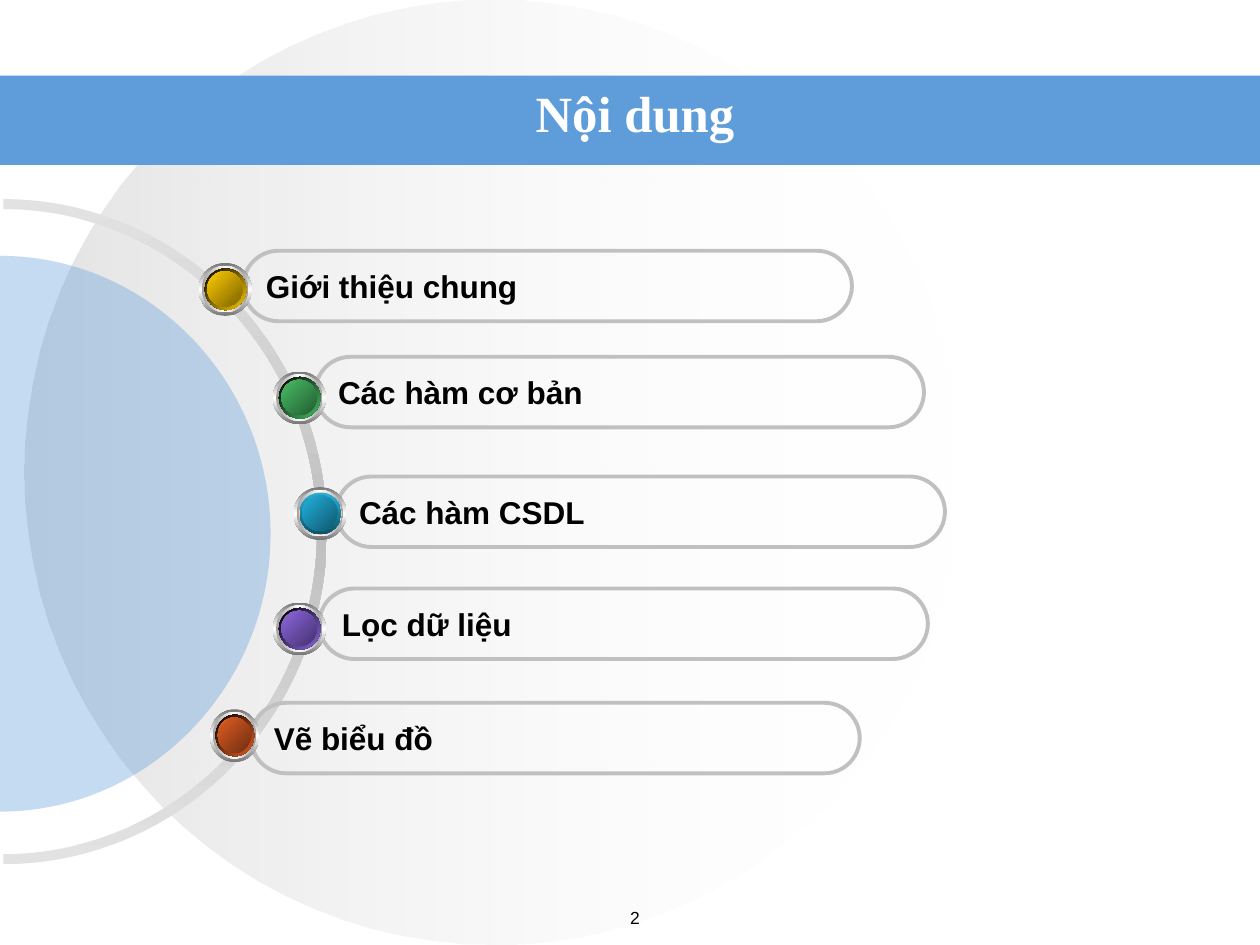
from lxml import etree
from pptx import Presentation
from pptx.dml.color import RGBColor
from pptx.enum.shapes import MSO_SHAPE
from pptx.enum.text import MSO_ANCHOR, PP_ALIGN
from pptx.oxml.ns import qn
from pptx.util import Pt

OVAL, RECTANGLE, PILL = MSO_SHAPE.OVAL, MSO_SHAPE.RECTANGLE, MSO_SHAPE.ROUNDED_RECTANGLE
LEFT, CENTER = PP_ALIGN.LEFT, PP_ALIGN.CENTER
TOP, MIDDLE = MSO_ANCHOR.TOP, MSO_ANCHOR.MIDDLE

COLORS = {
    "white": "FFFFFF", "black": "000000", "blue": "5E9CDA",
    "silver": "C0C0C0", "pale": "E2E2E2", "steel": "767676", "grey": "A2A2A2",
    "orange": "FF9933", "brown": "8A531C",
    "gold": "FFCC00", "dark gold": "7C6300",
    "green": "48BE67", "dark green": "235C32",
    "cyan": "21B3E1", "dark cyan": "10576D", "deep cyan": "0F5368",
    "violet": "8D67E1", "dark violet": "45326D",
    "red": "E35E23", "dark red": "6E2E11",
}

# Label, pill left and top, button left, top and width, button colour
TOPICS = [
    ("Giới thiệu chung", 139, 143.3, 113.6, 150.3, 30.2, "gold"),
    ("Các hàm cơ bản", 180.2, 203.9, 156, 212.3, 30.2, "green"),
    ("Các hàm CSDL", 192.2, 272.3, 167.8, 278.4, 30.2, "cyan"),
    ("Lọc dữ liệu", 182.4, 336.3, 156, 344.3, 30.2, "violet"),
    ("Vẽ biểu đồ", 143.5, 401.6, 120, 405.3, 28.1, "red"),
]
PILL_WIDTH, PILL_HEIGHT = 347.8, 40.3
BUTTON_SIZE = 30.2
CURVE = 0.55  # control point distance for a quarter ellipse


def rgb(name):
    return RGBColor.from_string(COLORS[name])


def set_solid(shape, color, alpha=100):
    shape.fill.solid()
    shape.fill.fore_color.rgb = rgb(color)
    if alpha < 100:
        tint = next(shape._element.spPr.iter(qn("a:srgbClr")))
        etree.SubElement(tint, qn("a:alpha"), val=str(alpha * 1000))


def set_gradient(shape, colors, angle, alphas=None):
    """Spread the colours evenly along a linear gradient."""
    shape.fill.background()
    properties = shape._element.spPr
    gradient = etree.Element(qn("a:gradFill"), rotWithShape="1")
    stops = etree.SubElement(gradient, qn("a:gsLst"))
    for index, color in enumerate(colors):
        position = 100000 * index // (len(colors) - 1)
        stop = etree.SubElement(stops, qn("a:gs"), pos=str(position))
        tint = etree.SubElement(stop, qn("a:srgbClr"), val=COLORS[color])
        if alphas:
            etree.SubElement(tint, qn("a:alpha"), val=str(alphas[index] * 1000))
    etree.SubElement(gradient, qn("a:lin"), ang=str(angle * 60000), scaled="0")
    properties.replace(properties.find(qn("a:noFill")), gradient)


def add_plain_shape(shapes, kind, left, top, width, height):
    shape = shapes.add_shape(kind, Pt(left), Pt(top), Pt(width), Pt(height))
    shape.shadow.inherit = False
    shape.line.fill.background()
    return shape


def half_ellipse(center_x, center_y, radius_x, radius_y):
    """Start point and two cubic curves of the right half, from top to bottom."""
    units = [(0, -1), (CURVE, -1), (1, -CURVE), (1, 0), (1, CURVE), (CURVE, 1), (0, 1)]
    return [(Pt(center_x + radius_x * x), Pt(center_y + radius_y * y)) for x, y in units]


def add_curved_outline(slide, *arcs):
    """Join arcs by straight lines, in a frame as wide as the full ellipse."""
    points = [point for arc in arcs for point in arc]
    builder = slide.shapes.build_freeform(*points[0])
    builder.add_line_segments(points[1:], close=True)
    shape = builder.convert_to_shape()
    shape.shadow.inherit = False
    shape.line.fill.background()

    # Double the frame to the left
    width = shape.width
    shape.left, shape.width = shape.left - width, 2 * width
    outline = next(shape._element.iter(qn("a:path")))
    outline.set("w", str(2 * width))
    for point in outline.iter(qn("a:pt")):
        point.set("x", str(int(point.get("x")) + width))

    # Turn each arc's six line steps into two cubic curves
    steps = list(outline)[:len(points)]
    for start in range(0, len(points), 7):
        for first in (start + 1, start + 4):
            curve = etree.Element(qn("a:cubicBezTo"))
            steps[first].addprevious(curve)
            for step in steps[first:first + 3]:
                curve.append(step[0])
                outline.remove(step)
    return shape


def write_text(shape, text, size, color, font="Arial", bold=False, align=LEFT, anchor=MIDDLE):
    frame = shape.text_frame
    frame.word_wrap = True
    frame.vertical_anchor = anchor
    paragraph = frame.paragraphs[0]
    paragraph.text = text
    paragraph.alignment = align
    paragraph.font.name = font
    paragraph.font.size = Pt(size)
    paragraph.font.bold = bold
    paragraph.font.color.rgb = rgb(color)


def add_text(slide, left, top, width, height, *content, **style):
    box = slide.shapes.add_textbox(Pt(left), Pt(top), Pt(width), Pt(height))
    write_text(box, *content, **style)


def add_pill(slide, label, left, top):
    pill = add_plain_shape(slide.shapes, PILL, left, top, PILL_WIDTH, PILL_HEIGHT)
    pill.adjustments[0] = 0.5
    pill.fill.background()
    pill.line.color.rgb = rgb("silver")
    pill.line.width = Pt(2.25)
    write_text(pill, label, 18, "black", bold=True)


def add_button(slide, left, top, width, color):
    """Stack six gradient discs into one glossy button."""
    rim = (["cyan", "deep cyan"], 90) if color == "cyan" else (["black", color], 45)
    # Horizontal inset, vertical inset, size, colours, angle
    layers = [
        (0, 0, BUTTON_SIZE, ["steel", "white", "steel"], 90),
        (1.8, 1.6, 26.6, ["grey", "white", "grey"], 0),
        (3.4, 3.1, 23.8, ["white", "orange", "white"], 45),
        (3.4, 3.1, 23.8, *rim),
        (4.8, 4.7, 20.2, ["brown", "orange", "brown"], 315),
        (4.8, 4.7, 20.2, [color, "dark " + color], 45),
    ]
    stretch = width / BUTTON_SIZE
    group = slide.shapes.add_group_shape()
    for inset_x, inset_y, size, colors, angle in layers:
        disc = add_plain_shape(group.shapes, OVAL, left + inset_x * stretch,
                               top + inset_y, size * stretch, size)
        set_gradient(disc, colors, angle)


def main():
    presentation = Presentation()
    presentation.slide_width, presentation.slide_height = Pt(720), Pt(540)
    slide = presentation.slides.add_slide(presentation.slide_layouts[6])

    # Backdrop circle and title band
    backdrop = add_plain_shape(slide.shapes, OVAL, 14, 0, 536, 540)
    set_gradient(backdrop, ["silver", "white"], 0, alphas=[44, 0])
    band = add_plain_shape(slide.shapes, RECTANGLE, 0, 43.2, 720, 51.1)
    set_solid(band, "blue")
    add_text(slide, 72, 41.8, 581.8, 44.6, "Nội dung", 29, "white",
             font="Times New Roman", bold=True, align=CENTER)

    # Slide number
    add_text(slide, 329.8, 514.8, 66.2, 20.9, "2", 10, "black", align=CENTER, anchor=TOP)

    # Half ring and half disc at the left edge
    outer = half_ellipse(2, 303.8, 184.8, 190)
    inner = half_ellipse(2, 303.8, 179.2, 184.3)
    ring = add_curved_outline(slide, outer, inner[::-1])
    set_gradient(ring, ["pale", "silver", "pale"], 90)
    disc = add_curved_outline(slide, half_ellipse(0, 305, 154.6, 158.8))
    set_solid(disc, "blue", alpha=36)

    # Topics with their buttons on the ring
    for label, left, top, *_ in reversed(TOPICS):
        add_pill(slide, label, left, top)
    for *_, left, top, width, color in TOPICS:
        add_button(slide, left, top, width, color)

    presentation.save("out.pptx")


if __name__ == "__main__":
    main()
